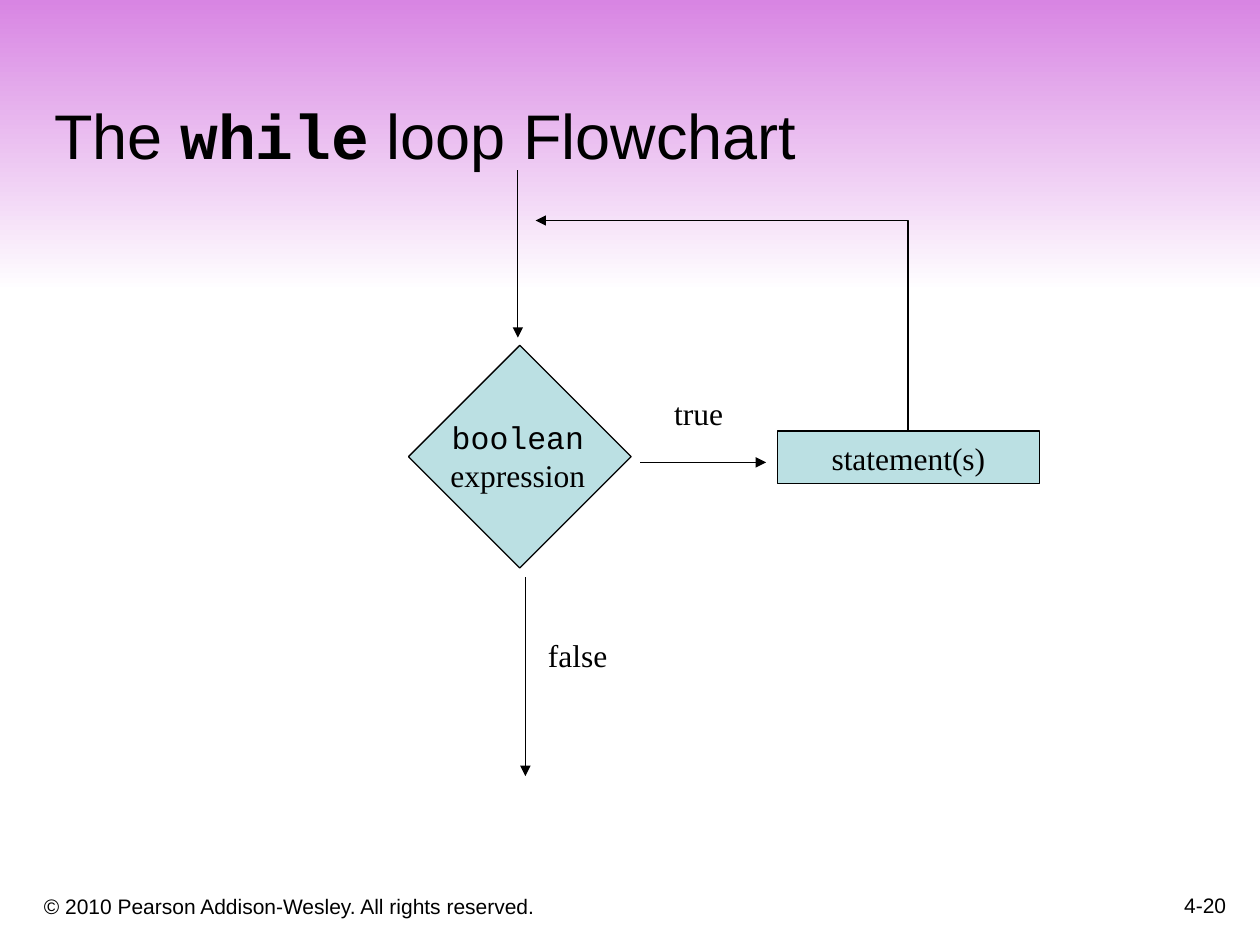
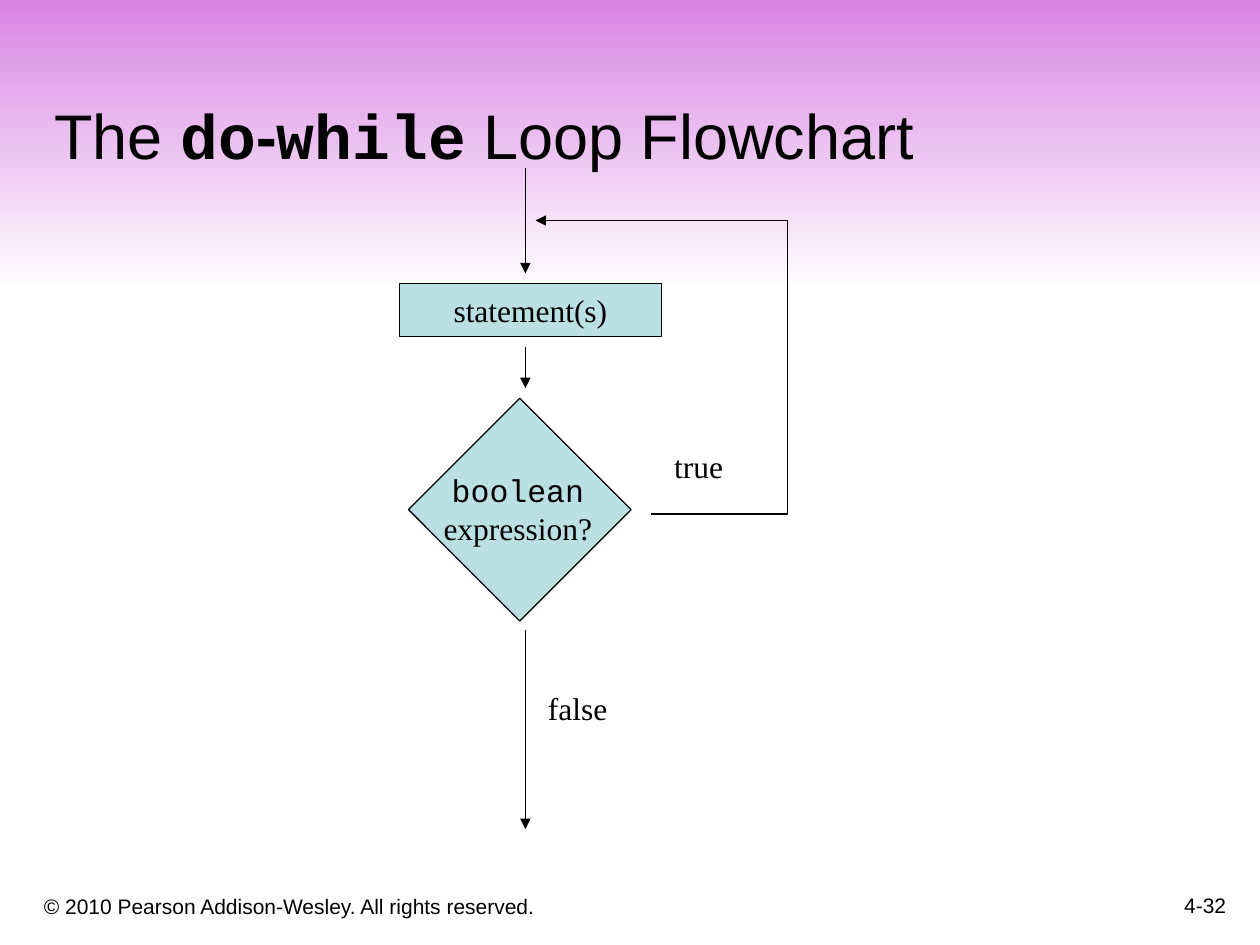
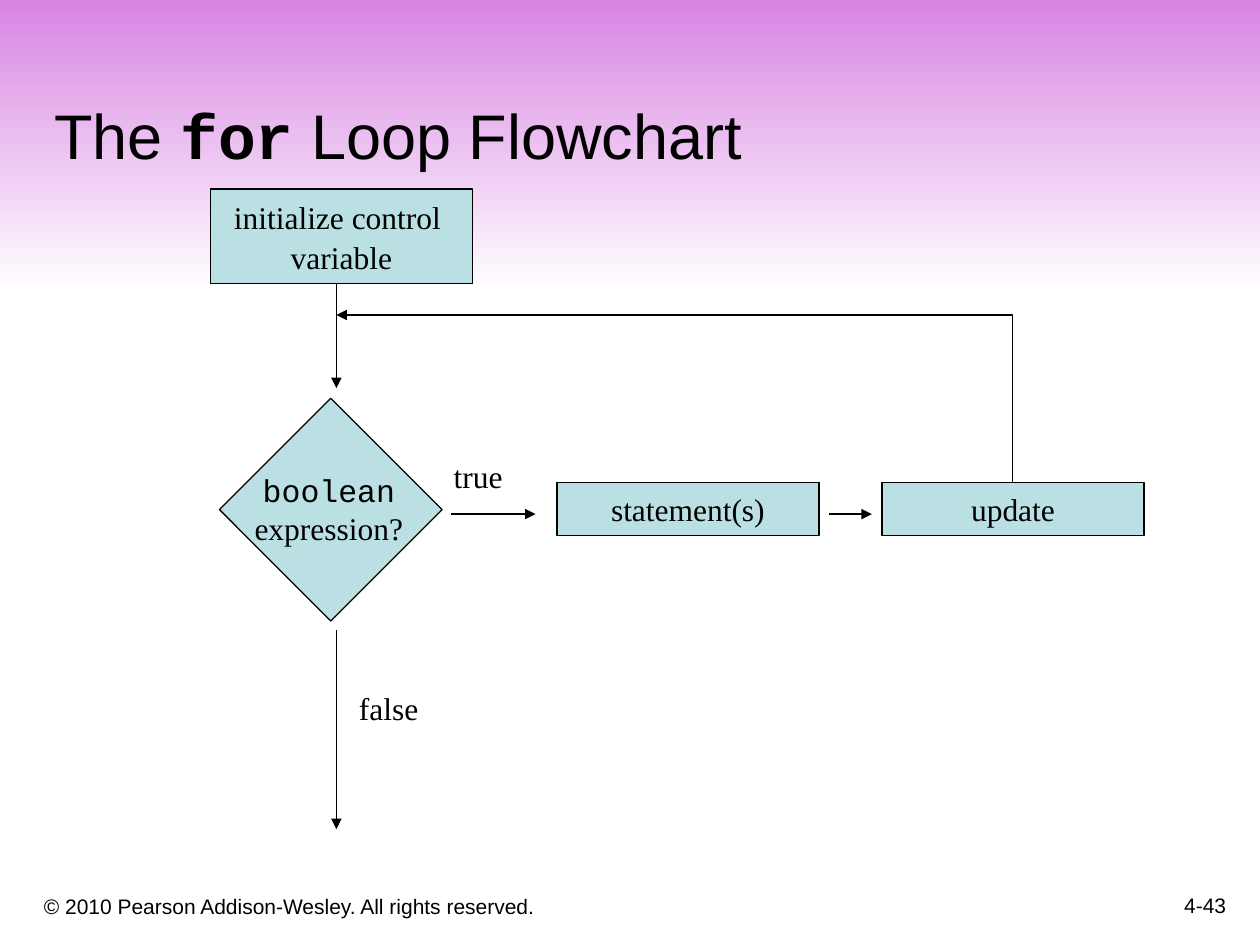
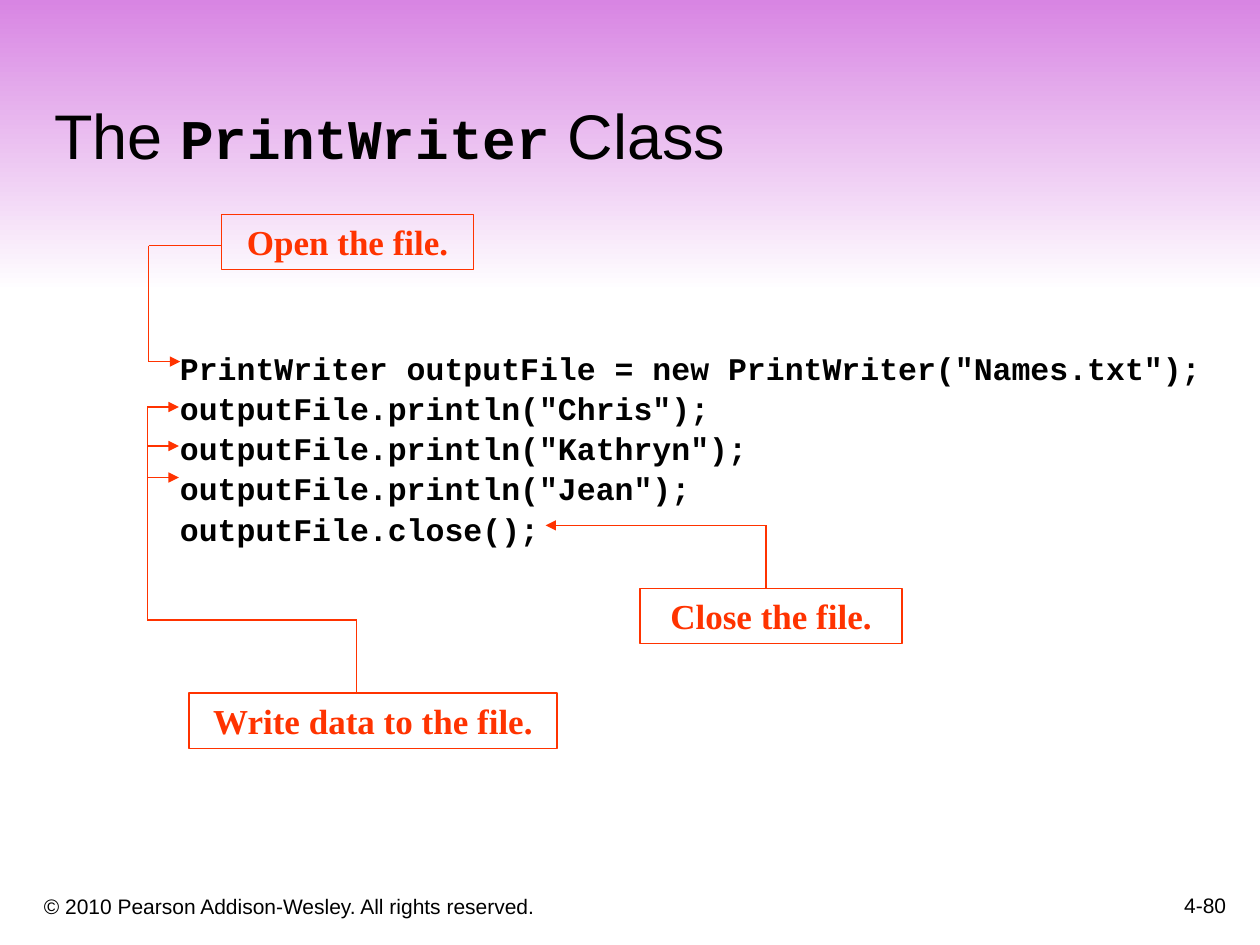
from pptx import Presentation
from pptx.dml.color import RGBColor
from pptx.enum.shapes import MSO_CONNECTOR, MSO_SHAPE
from pptx.enum.text import MSO_ANCHOR, MSO_AUTO_SIZE, PP_ALIGN
from pptx.oxml.ns import qn
from pptx.util import Inches, Pt
from lxml.etree import SubElement

BLACK, WHITE, RED = "000000", "FFFFFF", "FF3300"
TEAL, PINK = "BBE0E3", "D885E3"
SANS, SERIF, MONO = "Arial", "Times New Roman", "Courier New"
STEP_W, STEP_H = 2.08, 0.42
SIDE = 1.25


# Basic helpers
def paint(hue):
    return RGBColor.from_string(hue)


def style(run, face, size, hue=BLACK, bold=False):
    font = run.font
    font.name, font.size, font.bold = face, Pt(size), bold
    font.color.rgb = paint(hue)


def write(frame, lines, faces, size, hue=BLACK, bold=False,
          align=PP_ALIGN.CENTER, anchor=MSO_ANCHOR.TOP):
    """Fill a frame with one paragraph per line, each in its own face."""
    frame.text = "\n".join(lines)
    frame.vertical_anchor = anchor
    for para, face in zip(frame.paragraphs, faces):
        para.alignment = align
        for run in para.runs:
            style(run, face, size, hue, bold)


def label(slide, left, top, width, height, lines, faces, size=18, wrap=False, **look):
    box = slide.shapes.add_textbox(*map(Inches, (left, top, width, height)))
    box.text_frame.word_wrap = wrap
    write(box.text_frame, lines, faces, size, **look)
    return box


def block(slide, left, top, width, height, fill=None, edge=None):
    shape = slide.shapes.add_shape(
        MSO_SHAPE.RECTANGLE, *map(Inches, (left, top, width, height)))
    shape.shadow.inherit = False
    if fill:
        shape.fill.solid()
        shape.fill.fore_color.rgb = paint(fill)
    else:
        shape.fill.background()
    if edge:
        shape.line.color.rgb = paint(edge)
        shape.line.width = Pt(0.75)
    else:
        shape.line.fill.background()
    return shape


def link(slide, start, end, hue=BLACK, arrow=True, kind=MSO_CONNECTOR.STRAIGHT):
    wire = slide.shapes.add_connector(kind, *map(Inches, (*start, *end)))
    wire.line.color.rgb = paint(hue)
    wire.line.width = Pt(0.75)
    if arrow:
        SubElement(wire.line._get_or_add_ln(), qn("a:tailEnd"), type="triangle")
    SubElement(wire.element.spPr, qn("a:effectLst"))
    return wire


def trace(slide, points, hue=BLACK, arrow=True):
    """Join the points with straight lines, the last one with an arrowhead."""
    last = len(points) - 2
    for i, (start, end) in enumerate(zip(points, points[1:])):
        link(slide, start, end, hue, arrow and i == last)


def bend(slide, start, end):
    """Go straight up from start, then left to end."""
    wire = link(slide, start, end, kind=MSO_CONNECTOR.ELBOW)
    frame = wire.element.spPr.find(qn("a:xfrm"))
    for flip in ("flipH", "flipV"):
        frame.attrib.pop(flip, None)
    frame.set("rot", "10800000")
    shape = wire.element.spPr.find(qn("a:prstGeom"))
    guides = shape.find(qn("a:avLst"))
    if guides is None:
        guides = SubElement(shape, qn("a:avLst"))
    SubElement(guides, qn("a:gd"), name="adj1", fmla="val 100")


# Parts that all slides share
def dress(layout, slide):
    """Build the band and the copyright line, then move them to the layout."""
    band = block(slide, 0, 0, 10, 2.32)
    band.fill.gradient()
    band.fill.gradient_angle = 270
    for stop, hue in zip(band.fill.gradient_stops, (PINK, WHITE)):
        stop.color.rgb = paint(hue)
    note = label(slide, 0.25, 6.92, 6.08, 0.42,
                 ["© 2010 Pearson Addison-Wesley. All rights reserved."], [SANS], 12,
                 wrap=True, align=PP_ALIGN.LEFT, anchor=MSO_ANCHOR.BOTTOM)
    for i, part in enumerate((band, note)):
        part.element.nvSpPr.cNvPr.set("id", str(100 + i))
        layout.shapes.element.insert(2 + i, part.element)


def head(slide, parts, page, size=36):
    """Set the title, where code words are (text, face) pairs, and the page."""
    title = slide.shapes.title
    title.left, title.top, title.width, title.height = map(
        Inches, (0.33, 0.33, 9.42, 1.09))
    frame = title.text_frame
    frame.word_wrap = True
    frame.auto_size = MSO_AUTO_SIZE.NONE
    frame.vertical_anchor = MSO_ANCHOR.BOTTOM
    para = frame.paragraphs[0]
    para.alignment = PP_ALIGN.LEFT
    for part in parts:
        code = isinstance(part, tuple)
        text, face = part if code else (part, SANS)
        run = para.add_run()
        run.text = text
        style(run, face, size if code else 36, bold=code)
    label(slide, 7.75, 6.83, 2.08, 0.5, [page], [SANS], 12, wrap=True,
          align=PP_ALIGN.RIGHT, anchor=MSO_ANCHOR.BOTTOM)


# Flowchart parts
def step(slide, left, top, lines, height=STEP_H):
    box = block(slide, left, top, STEP_W, height, TEAL, BLACK)
    box.text_frame.word_wrap = False
    write(box.text_frame, lines, [SERIF] * len(lines), 18, anchor=MSO_ANCHOR.MIDDLE)
    if len(lines) > 1:
        for para in box.text_frame.paragraphs:
            para.line_spacing = 1.05


def test(slide, left, top, ask, width=1.38):
    """Draw the diamond with its question and the false exit below."""
    block(slide, left, top, SIDE, SIDE, TEAL, BLACK).rotation = 45
    label(slide, left + 0.61 - width / 2, top + 0.27, width, 0.7,
          ["boolean", ask], [MONO, SERIF])
    x, y = left + 0.67, top + 1.58
    link(slide, (x, y), (x, y + 1.58))
    label(slide, x + 0.08, y + 0.42, 0.67, 0.4, ["false"], [SERIF])


def yes(slide, left, top):
    label(slide, left, top, 0.59, 0.4, ["true"], [SERIF])


# Slide types
def while_flow(slide):
    left, top = 3.5, 3
    test(slide, left, top, "expression", 1.27)
    step(slide, left + 2.67, top + 0.42, ["statement(s)"])
    yes(slide, left + 1.75, top + 0.08)
    bend(slide, (left + 3.71, top + 0.42), (left + 0.75, top - 1.25))
    link(slide, (left + 0.61, top - 1.65), (left + 0.61, top - 0.32))
    link(slide, (left + 1.58, top + 0.67), (left + 2.58, top + 0.67))


def do_flow(slide):
    left, top = 3.5, 3.42
    x, far, up = left + 0.67, left + 2.75, top - 1.67
    step(slide, left - 0.33, top - 1.17, ["statement(s)"])
    test(slide, left, top, "expression?")
    yes(slide, left + 1.75, top + 0.08)
    link(slide, (x, 1.33), (x, top - 1.25))
    link(slide, (x, top - 0.67), (x, top - 0.34))
    trace(slide, [(x + 1, top + 0.66), (far, top + 0.66), (far, up), (x + 0.08, up)])


def for_flow(slide):
    left, top = 2, 3.42
    x, mid, row = left + 0.67, top + 0.66, top + 0.41
    test(slide, left, top, "expression?")
    step(slide, left + 2.42, row, ["statement(s)"])
    step(slide, left + 5, row, ["update"])
    yes(slide, left + 1.5, top + 0.16)
    bend(slide, (left + 6.04, row), (x, top - 0.92))
    link(slide, (x, top - 1.67), (x, top - 0.34))
    link(slide, (left + 1.58, mid), (left + 2.25, mid))
    link(slide, (left + 4.58, mid), (left + 4.92, mid))
    step(slide, left - 0.33, 1.5, ["initialize control ", "variable"], 0.75)


def callout(slide, left, top, width, text):
    box = block(slide, left, top, width, 0.44, edge=RED)
    box.text_frame.word_wrap = True
    write(box.text_frame, [text], [SERIF], 20, RED, True)


def code_view(slide):
    # Code
    lines = ['PrintWriter outputFile = new PrintWriter("Names.txt");',
             'outputFile.println("Chris");',
             'outputFile.println("Kathryn");',
             'outputFile.println("Jean");',
             'outputFile.close();']
    code = label(slide, 1.33, 2.7, 8.5, 1.64, lines, [MONO] * len(lines),
                 wrap=True, bold=True, align=PP_ALIGN.LEFT)
    *rows, last = code.text_frame.paragraphs
    for para in rows:
        para.line_spacing = 1.06
    gap = last.add_run()
    gap.text = " "
    style(gap, SERIF, 20, bold=True)

    # Open
    callout(slide, 1.76, 1.7, 2, "Open the file.")
    trace(slide, [(1.76, 1.95), (1.18, 1.95), (1.18, 2.87), (1.43, 2.87)], RED)

    # Write
    callout(slide, 1.5, 5.5, 2.92, "Write data to the file.")
    stem = 1.17
    for y in (3.23, 3.54, 3.79):
        link(slide, (stem, y), (stem + 0.25, y), RED)
    trace(slide, [(stem, 3.23), (stem, 4.92), (2.83, 4.92), (2.83, 5.5)], RED, False)

    # Close
    callout(slide, 5.08, 4.67, 2.08, "Close the file.")
    trace(slide, [(6.08, 4.67), (6.08, 4.17), (4.33, 4.17)], RED)


def main():
    deck = Presentation()
    deck.slide_width, deck.slide_height = Inches(10), Inches(7.5)
    layout = deck.slide_layouts[5]
    pages = [
        (["The ", ("while", MONO), " loop Flowchart"], "4-20", 36, while_flow),
        (["The ", ("do", MONO), ("-", SANS), ("while", MONO), " Loop Flowchart"],
         "4-32", 36, do_flow),
        (["The ", ("for", MONO), " Loop Flowchart"], "4-43", 36, for_flow),
        (["The ", ("PrintWriter", MONO), " Class"], "4-80", 32, code_view),
    ]
    for i, (parts, page, size, draw) in enumerate(pages):
        slide = deck.slides.add_slide(layout)
        if i == 0:
            dress(layout, slide)
        head(slide, parts, page, size)
        draw(slide)
    deck.save("out.pptx")


if __name__ == "__main__":
    main()
